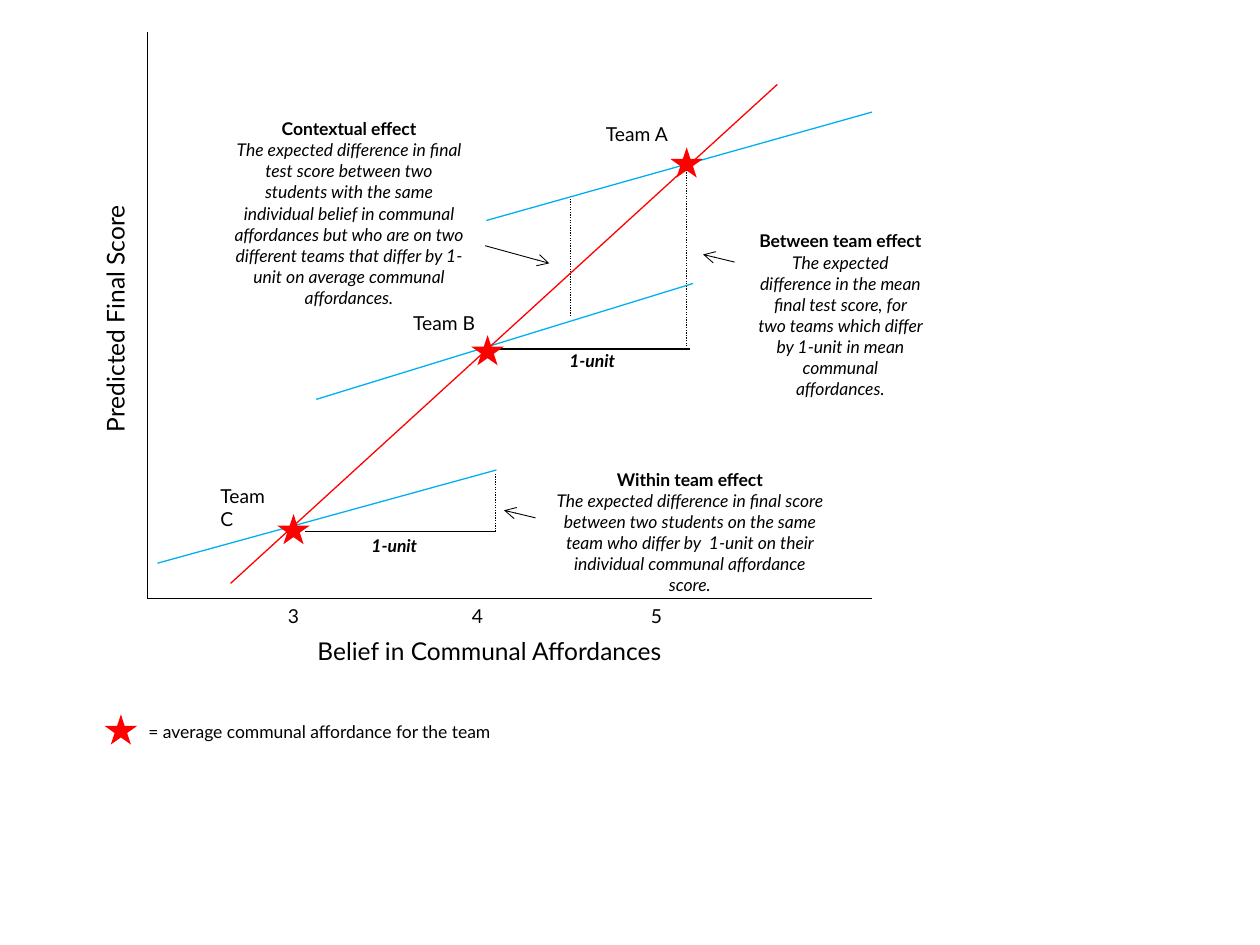
from dataclasses import dataclass

from lxml import etree
from pptx import Presentation
from pptx.dml.color import RGBColor
from pptx.enum.dml import MSO_LINE
from pptx.enum.shapes import MSO_CONNECTOR, MSO_SHAPE
from pptx.enum.text import MSO_AUTO_SIZE, PP_ALIGN
from pptx.oxml.ns import qn
from pptx.util import Inches, Pt

STRAIGHT = MSO_CONNECTOR.STRAIGHT
STAR = MSO_SHAPE.STAR_5_POINT
DOTTED = MSO_LINE.ROUND_DOT
GROW = MSO_AUTO_SIZE.SHAPE_TO_FIT_TEXT
LEFT, CENTER = PP_ALIGN.LEFT, PP_ALIGN.CENTER


@dataclass
class Theme:
    font: str = "Lato"
    ink: str = "000000"
    team_line: str = "00B0F0"
    accent: str = "FF0000"
    axis_size: float = 14
    label_size: float = 11
    note_size: float = 10
    line_width: float = 0.75
    arrow_width: float = 0.5


class Diagram:
    def __init__(self, page, theme):
        self.page = page
        self.theme = theme

    def line(self, start, end, color=None, dash=None, width=None):
        connector = self.page.shapes.add_connector(
            STRAIGHT, *(Inches(value) for value in (*start, *end)))
        connector.line.color.rgb = RGBColor.from_string(color or self.theme.ink)
        connector.line.width = Pt(width or self.theme.line_width)
        if dash:
            connector.line.dash_style = dash
        etree.SubElement(connector._element.spPr, qn("a:effectLst"))
        return connector

    def arrow(self, start, end):
        connector = self.line(start, end, width=self.theme.arrow_width)
        outline = connector.line._get_or_add_ln()
        etree.SubElement(outline, qn("a:tailEnd"), type="arrow")

    def star(self, left, top):
        star = self.page.shapes.add_shape(
            STAR, Inches(left), Inches(top), Inches(0.26), Inches(0.24))
        star.shadow.inherit = False
        star.fill.solid()
        star.fill.fore_color.rgb = RGBColor.from_string(self.theme.accent)
        star.line.fill.background()

    def text(self, frame, words, size, align=LEFT, bold=False, italic=False, rotation=0):
        box = self.page.shapes.add_textbox(*(Inches(value) for value in frame))
        box.rotation = rotation
        box.text_frame.word_wrap = True
        box.text_frame.auto_size = GROW
        box.text_frame.text = words
        for para in box.text_frame.paragraphs:
            para.alignment = align
            for span in para.runs:
                span.font.name = self.theme.font
                span.font.size = Pt(size)
                span.font.color.rgb = RGBColor.from_string(self.theme.ink)
                span.font.bold = bold
                span.font.italic = italic
        return box

    def note(self, frame, heading, body, arrow_start, arrow_end):
        box = self.text(frame, f"{heading}\n{body}", self.theme.note_size, CENTER)
        title, description = box.text_frame.paragraphs
        title.runs[0].font.bold = True
        description.runs[0].font.italic = True
        self.arrow(arrow_start, arrow_end)


deck = Presentation()
deck.slide_width, deck.slide_height = Inches(10), Inches(7.5)
theme = Theme()
diagram = Diagram(deck.slides.add_slide(deck.slide_layouts[6]), theme)

origin = (1.17, 4.75)
diagram.line((1.17, 0.25), origin)
diagram.line(origin, (6.92, 4.75))
diagram.text((-0.7, 2.36, 3.23, 0.34), "Predicted Final Score",
             theme.axis_size, CENTER, rotation=270)
diagram.text((2.27, 5, 3.23, 0.34), "Belief in Communal Affordances",
             theme.axis_size, CENTER)
for tick, middle in (("3", 2.33), ("4", 3.79), ("5", 5.21)):
    diagram.text((middle - 0.25, 4.75, 0.5, 0.29), tick, theme.label_size, CENTER)

for start, end in (
    ((3.86, 1.75), (6.92, 0.89)),
    ((1.25, 4.47), (3.94, 3.73)),
    ((2.51, 3.17), (5.5, 2.25)),
):
    diagram.line(start, end, theme.team_line)
diagram.line((1.83, 4.63), (6.17, 0.67), theme.accent)

for across, bottom, top in ((3.93, 4.22, 3.76), (5.45, 2.77, 1.25), (4.53, 2.51, 1.58)):
    diagram.line((across, bottom), (across, top), dash=DOTTED)

for left, right, height, label_left, label_top in (
    (2.42, 3.93, 4.22, 2.85, 4.2),
    (3.94, 5.48, 2.77, 4.42, 2.73),
):
    diagram.line((left, height), (right, height))
    diagram.text((label_left, label_top, 0.9, 0.27), "1-unit",
                 theme.note_size, bold=True, italic=True)

for team, label_left, label_top, star_left, star_top in (
    ("Team A", 4.71, 0.92, 5.32, 1.17),
    ("Team B", 3.18, 2.42, 3.74, 2.66),
    ("Team C", 1.65, 3.79, 2.2, 4.08),
):
    diagram.text((label_left, label_top, 0.69, 0.29), team, theme.label_size)
    diagram.star(star_left, star_top)

diagram.note(
    (4.29, 3.67, 2.37, 0.94), "Within team effect",
    "The expected difference in final score between two students on the same team "
    "who differ by  1-unit on their individual communal affordance score.",
    (4.25, 4.11), (4, 4.05))
diagram.note(
    (5.92, 1.78, 1.5, 1.28), "Between team effect",
    "The expected difference in the mean final test score, for two teams which "
    "differ by 1-unit in mean communal affordances.",
    (5.83, 2.08), (5.58, 2.02))
diagram.note(
    (1.75, 0.89, 2.04, 1.45), "Contextual effect",
    "The expected difference in final test score between two students with the same "
    "individual belief in communal affordances but who are on two different teams "
    "that differ by 1-unit on average communal affordances.",
    (3.85, 1.95), (4.36, 2.09))

diagram.star(0.83, 5.67)
diagram.text((1.08, 5.67, 3, 0.27), "= average communal affordance for the team",
             theme.note_size)

deck.save("out.pptx")
